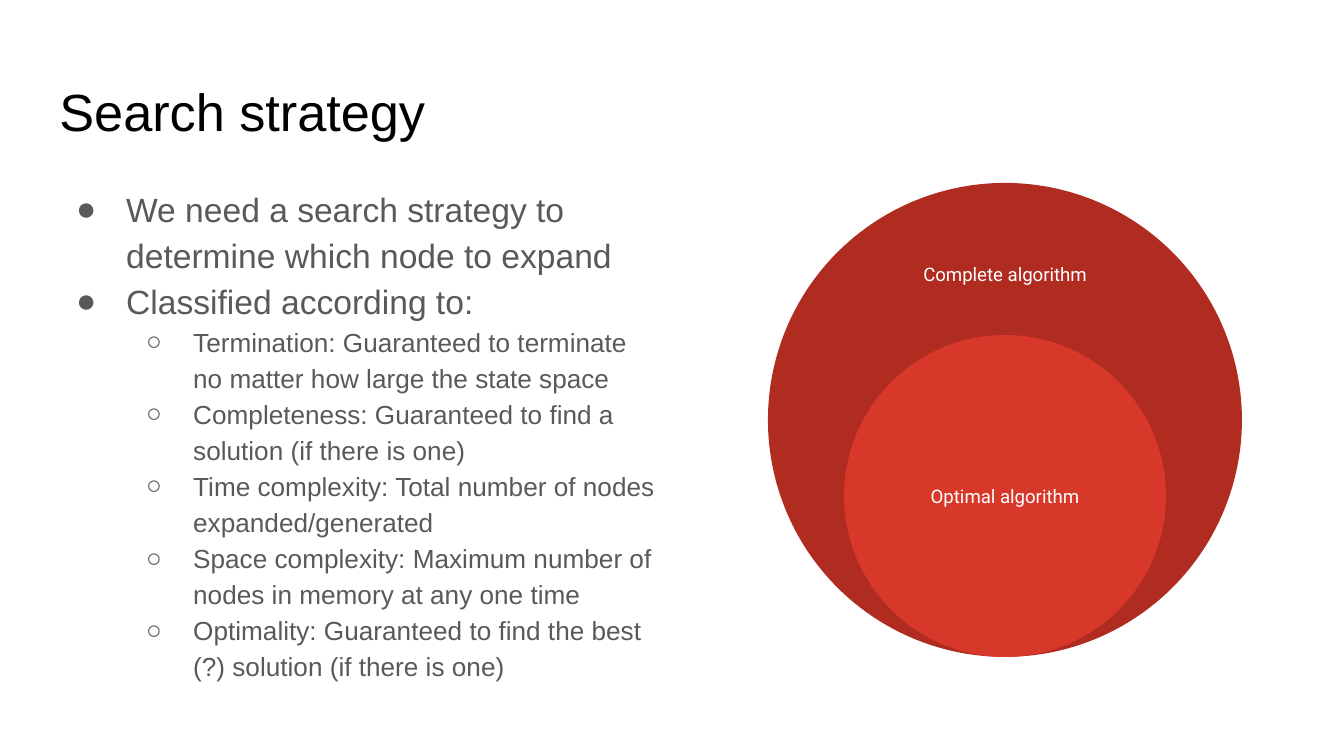
from lxml import etree
from pptx import Presentation
from pptx import util as u
from pptx.dml.color import RGBColor
from pptx.enum import shapes, text
from pptx.oxml.ns import qn

# Content
TITLE = "Search strategy"
POINTS = [
    (0, "We need a search strategy to determine which node to expand"),
    (0, "Classified according to:"),
    (1, "Termination: Guaranteed to terminate no matter how large the state space"),
    (1, "Completeness: Guaranteed to find a solution (if there is one)"),
    (1, "Time complexity: Total number of nodes expanded/generated"),
    (1, "Space complexity: Maximum number of nodes in memory at any one time"),
    (1, "Optimality: Guaranteed to find the best (?) solution (if there is one)"),
]
BLACK = RGBColor(0x00, 0x00, 0x00)
GREY = RGBColor(0x59, 0x59, 0x59)
WHITE = RGBColor(0xFF, 0xFF, 0xFF)
DARK_RED = RGBColor(0xB0, 0x2C, 0x20)
RED = RGBColor(0xD8, 0x38, 0x29)

# name, diameter, fill, label centre y, label width, label height
CIRCLES = [
    ("Complete algorithm", 474, DARK_RED, 274, 233, 109),
    ("Optimal algorithm", 322, RED, 496, 218, 78),
]
CENTRE_X, CIRCLES_BOTTOM = 1005, 657

# level: bullet, left indent px, hanging px, text size
LEVELS = {0: ("●", 67, 50, 18), 1: ("○", 134, 47, 14)}
EMU_PER_PX = 914400 / 134.4


def px(length):
    return u.Emu(round(length * EMU_PER_PX))


def box(*lengths):
    return [px(length) for length in lengths]


def prepare(frame, anchor=text.MSO_ANCHOR.TOP):
    frame.word_wrap = True
    frame.auto_size = text.MSO_AUTO_SIZE.NONE
    frame.vertical_anchor = anchor
    frame.margin_left = frame.margin_right = u.Inches(0.1)
    frame.margin_top = frame.margin_bottom = u.Inches(0.1)


def write(paragraph, words, size, color, font="Arial", align=text.PP_ALIGN.LEFT):
    paragraph.text = words
    paragraph.alignment = align
    paragraph.font.name = font
    paragraph.font.size = u.Pt(size)
    paragraph.font.color.rgb = color


def add_bullet(paragraph, level):
    mark, indent, hanging, _ = LEVELS[level]
    paragraph.level = level
    paragraph.line_spacing = 1.15
    properties = paragraph._p.get_or_add_pPr()
    properties.set("marL", str(px(indent)))
    properties.set("indent", str(-px(hanging)))
    color = etree.SubElement(properties, qn("a:buClr"))
    etree.SubElement(color, qn("a:srgbClr"), val=str(GREY))
    etree.SubElement(properties, qn("a:buFont"), typeface="Arial")
    etree.SubElement(properties, qn("a:buChar"), char=mark)


deck = Presentation()
deck.slide_width, deck.slide_height = box(1344, 756)
slide = deck.slides.add_slide(deck.slide_layouts.get_by_name("Title Only"))

# Title
title = slide.shapes.title
title.left, title.top, title.width, title.height = box(46, 66, 1252, 84)
prepare(title.text_frame)
write(title.text_frame.paragraphs[0], TITLE, 28, BLACK)

# Bulleted points
points = slide.shapes.add_textbox(*box(46, 169, 626, 503)).text_frame
prepare(points)
for number, (level, words) in enumerate(POINTS):
    point = points.add_paragraph() if number else points.paragraphs[0]
    add_bullet(point, level)
    write(point, words, LEVELS[level][3], GREY)

# Nested circles that touch at the bottom, each with its label
for name, diameter, fill, label_y, width, height in CIRCLES:
    circle = slide.shapes.add_shape(
        shapes.MSO_SHAPE.OVAL,
        *box(CENTRE_X - diameter / 2, CIRCLES_BOTTOM - diameter, diameter, diameter))
    circle.shadow.inherit = False
    circle.fill.solid()
    circle.fill.fore_color.rgb = fill
    circle.line.fill.background()
    label = slide.shapes.add_textbox(
        *box(CENTRE_X - width / 2, label_y - height / 2, width, height)).text_frame
    prepare(label, text.MSO_ANCHOR.MIDDLE)
    write(label.paragraphs[0], name, 10, WHITE, font="Roboto", align=text.PP_ALIGN.CENTER)

deck.save("out.pptx")
